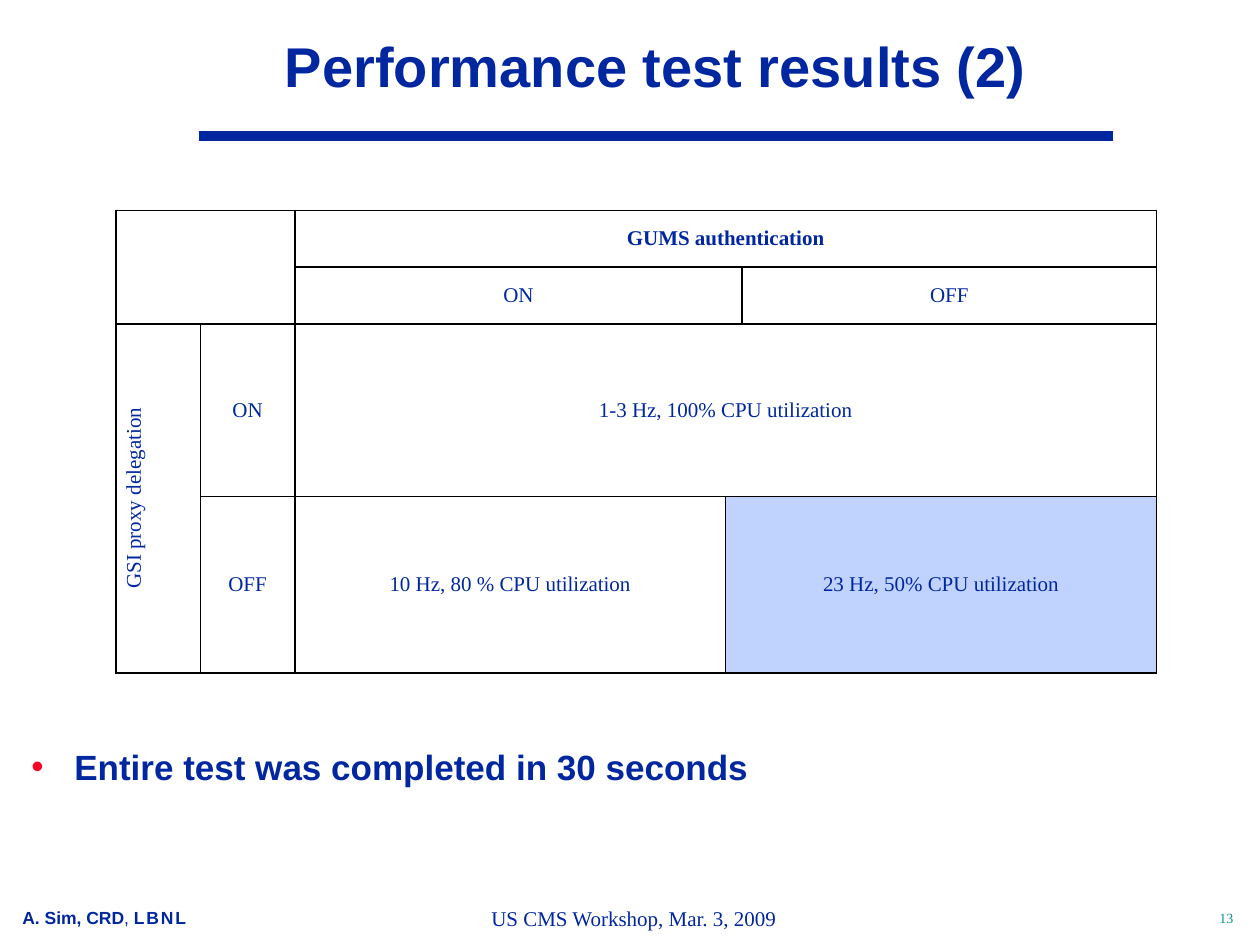
from pptx import Presentation
from pptx.dml.color import RGBColor
from pptx.enum.shapes import MSO_CONNECTOR
from pptx.enum.text import MSO_ANCHOR, PP_ALIGN
from pptx.oxml.ns import qn
from pptx.util import Inches, Pt
from lxml.etree import SubElement

NAVY = RGBColor(0x00, 0x27, 0x9F)
TEAL = RGBColor(0x00, 0x96, 0x88)
RED = RGBColor(0xFC, 0x01, 0x28)
BLACK = RGBColor(0x00, 0x00, 0x00)
WHITE = RGBColor(0xFF, 0xFF, 0xFF)
PALE_BLUE = RGBColor(0xC0, 0xD2, 0xFE)
SANS, SERIF = "Arial", "Times New Roman"

COLUMN_WIDTHS = [0.67, 0.75, 3.42, 0.13, 3.29]
ROW_HEIGHTS = [0.45, 0.45, 1.37, 1.4]
# row, column, rows spanned, columns spanned, text, format
RESULT_CELLS = [
    (0, 0, 2, 2, "", {}),
    (0, 2, 1, 3, "GUMS authentication", {"bold": True}),
    (1, 2, 1, 2, "ON", {}),
    (1, 4, 1, 1, "OFF", {}),
    (2, 0, 2, 1, "GSI proxy delegation", {}),
    (2, 1, 1, 1, "ON", {}),
    (2, 2, 1, 3, "1-3 Hz, 100% CPU utilization", {}),
    (3, 1, 1, 1, "OFF", {}),
    (3, 2, 1, 1, "10 Hz, 80 % CPU utilization", {}),
    (3, 3, 1, 2, "23 Hz, 50% CPU utilization", {}),
]


class SlideBuilder:
    def __init__(self, prs):
        self.slide = prs.slides.add_slide(prs.slide_layouts[5])

    def runs(self, p, parts, color=NAVY, **base):
        """Add (text, format) parts; each format overrides the base."""
        for text, fmt in parts:
            r = p.add_run()
            r.text = text
            for name, value in {**base, **fmt}.items():
                setattr(r.font, name, value)
            r.font.color.rgb = color

    def frame(self, tf, anchor=MSO_ANCHOR.TOP, wrap=True, side=0.1):
        settings = {"word_wrap": wrap, "vertical_anchor": anchor,
                    "margin_left": Inches(side), "margin_right": Inches(side),
                    "margin_top": Inches(0.05), "margin_bottom": Inches(0.05)}
        for name, value in settings.items():
            setattr(tf, name, value)

    def title(self, text, x, y, w, h):
        sp = self.slide.shapes.title
        sp.left, sp.top, sp.width, sp.height = map(Inches, (x, y, w, h))
        self.frame(sp.text_frame, MSO_ANCHOR.MIDDLE, side=0.09)
        p = sp.text_frame.paragraphs[0]
        p.alignment = PP_ALIGN.CENTER
        self.runs(p, [(text, {})], name=SANS, size=Pt(32), bold=True)

    def text(self, parts, x, y, w, h, align=PP_ALIGN.LEFT, wrap=True,
             side=0.1, **fmt):
        sp = self.slide.shapes.add_textbox(*map(Inches, (x, y, w, h)))
        self.frame(sp.text_frame, wrap=wrap, side=side)
        p = sp.text_frame.paragraphs[0]
        p.alignment = align
        self.runs(p, parts, **fmt)
        return p

    def bullet(self, text, x, y, w, h):
        p = self.text([(text, {})], x, y, w, h, side=0.09,
                      name=SANS, size=Pt(20), bold=True)
        p.line_spacing = 0.85
        pPr = p._p.get_or_add_pPr()
        pPr.set("marL", str(Inches(0.34)))
        pPr.set("indent", str(-Inches(0.34)))
        color = SubElement(pPr, qn("a:buClr"))
        SubElement(color, qn("a:srgbClr"), val=str(RED))
        SubElement(pPr, qn("a:buFont"), typeface=SANS)
        SubElement(pPr, qn("a:buChar"), char="•")

    def rule(self, x1, y1, x2, y2, width):
        line = self.slide.shapes.add_connector(
            MSO_CONNECTOR.STRAIGHT, *map(Inches, (x1, y1, x2, y2)))
        line.line.color.rgb = NAVY
        line.line.width = Pt(width)
        SubElement(line._element.spPr, qn("a:effectLst"))

    def cell_style(self, cell, fill):
        tcPr = cell._tc.get_or_add_tcPr()
        for side in ("lnL", "lnR", "lnT", "lnB"):
            ln = SubElement(tcPr, qn(f"a:{side}"), w=str(Pt(1)))
            solid = SubElement(ln, qn("a:solidFill"))
            SubElement(solid, qn("a:srgbClr"), val=str(BLACK))
        cell.fill.solid()
        cell.fill.fore_color.rgb = fill
        cell.vertical_anchor = MSO_ANCHOR.MIDDLE

    def table(self, x, y, widths, heights, cells):
        table = self.slide.shapes.add_table(
            len(heights), len(widths), Inches(x), Inches(y),
            Inches(sum(widths)), Inches(sum(heights))).table
        table.first_row = table.horz_banding = False
        for column, width in zip(table.columns, widths):
            column.width = Inches(width)
        for row, height in zip(table.rows, heights):
            row.height = Inches(height)
        for cell in table.iter_cells():
            self.cell_style(cell, WHITE)
        for row, col, row_span, col_span, text, fmt in cells:
            cell = table.cell(row, col)
            if row_span * col_span > 1:
                cell.merge(table.cell(row + row_span - 1, col + col_span - 1))
            p = cell.text_frame.paragraphs[0]
            p.alignment = PP_ALIGN.CENTER
            if text:
                self.runs(p, [(text, fmt)], name=SERIF, size=Pt(12),
                          bold=False)
        return table


def main():
    prs = Presentation()
    prs.slide_width, prs.slide_height = Inches(10), Inches(7.5)
    s = SlideBuilder(prs)

    s.rule(1.58, 1.08, 8.83, 1.08, 6)
    s.title("Performance test results (2)", 1.58, 0, 7.25, 1.03)

    table = s.table(0.92, 1.67, COLUMN_WIDTHS, ROW_HEIGHTS, RESULT_CELLS)
    table.cell(2, 0)._tc.get_or_add_tcPr().set("vert", "vert270")
    for col in (3, 4):
        table.cell(3, col).fill.fore_color.rgb = PALE_BLUE

    s.bullet("Entire test was completed in 30 seconds", 0.16, 5.92, 9.67, 1.17)

    thin_space = (" ", {"size": Pt(4)})
    author = [("A. Sim, CRD", {}), (", ", {"bold": False}), ("L", {})]
    for letter in "BNL":
        author += [thin_space, (letter, {})]
    s.text(author, 0.08, 7.15, 1.83, 0.26, name=SANS, size=Pt(10), bold=True)
    s.text([("US CMS Workshop, Mar. 3, 2009", {})], 2.24, 7.14, 5.58, 0.3,
           align=PP_ALIGN.CENTER, name=SERIF, size=Pt(12))
    s.text([("13", {})], 9.58, 7.17, 0.33, 0.23, wrap=False, color=TEAL,
           name=SERIF, size=Pt(8))

    prs.save("out.pptx")


if __name__ == "__main__":
    main()
